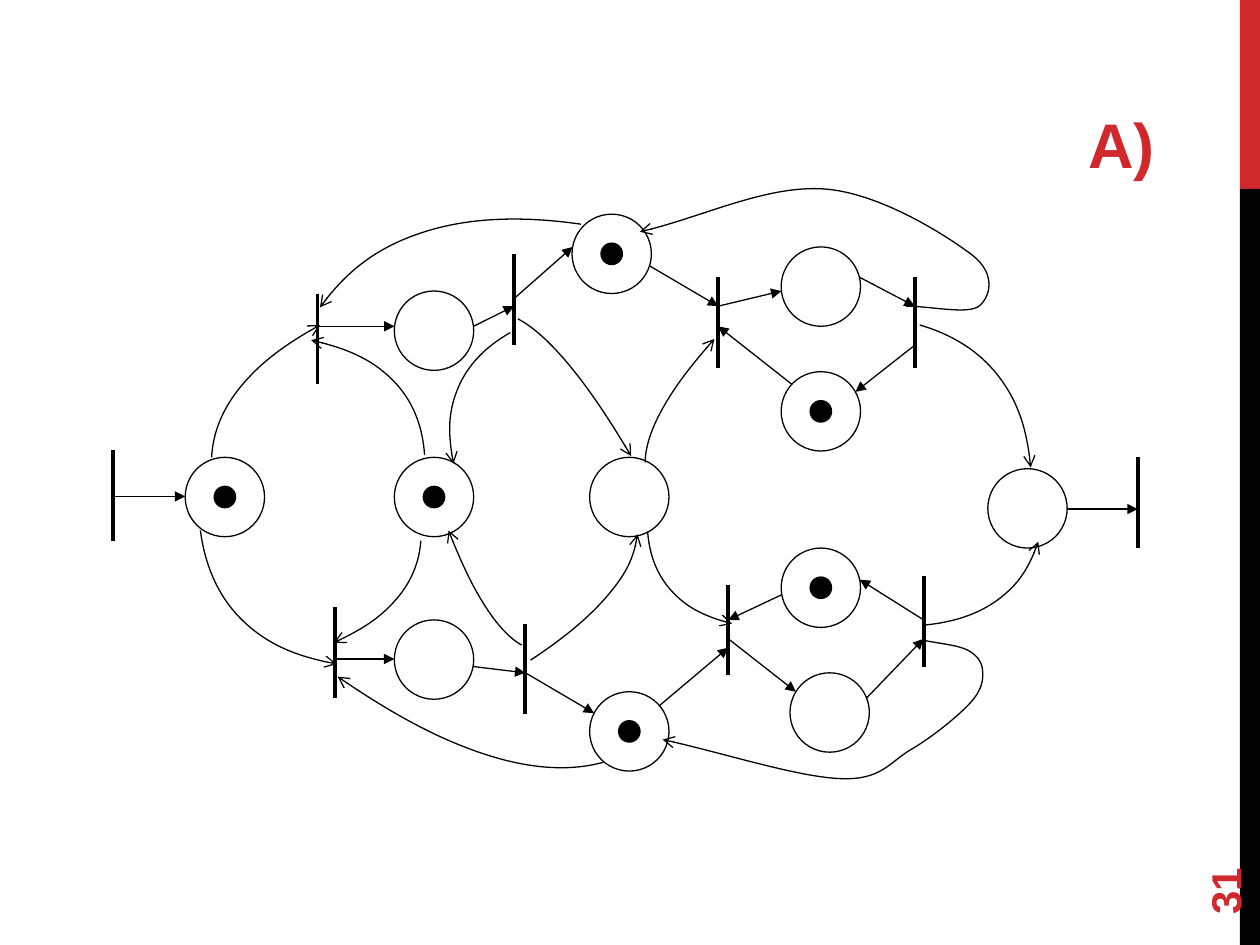
from math import sqrt

from lxml.etree import SubElement
from pptx import Presentation
from pptx.dml.color import RGBColor
from pptx.enum.shapes import MSO_CONNECTOR as Connector, MSO_SHAPE as Shape
from pptx.enum.text import MSO_ANCHOR as Anchor, PP_ALIGN as Align
from pptx.oxml.ns import qn
from pptx.util import Inches, Pt

COLUMNS, ROWS = 10, 7.5
COLORS = {"accent": "D1282E", "ink": "000000", "paper": "FFFFFF"}
PLACE, TOKEN, BAR = 0.63, 0.17, 0.72
THIN, THICK = 0.75, 2.25

PLACES = {
    "entry": (1.47, 3.63), "middle": (4.68, 3.63), "upper task": (3.13, 2.31),
    "upper": (4.54, 1.7), "shared": (3.13, 3.63), "lower task": (3.13, 4.92),
    "lower": (4.68, 5.49), "upper work": (6.2, 1.96), "upper free": (6.2, 2.95),
    "lower free": (6.2, 4.35), "lower work": (6.27, 5.34), "exit": (7.84, 3.72),
}
MARKED = ["entry", "upper", "shared", "upper free", "lower free", "lower"]
TRANSITIONS = {
    "arrive": (0.9, 3.57), "upper start": (2.52, 2.33), "lower start": (2.66, 4.82),
    "leave": (9.03, 3.63), "lower end": (4.17, 4.95), "upper end": (4.08, 2.02),
    "upper take": (5.7, 2.2), "lower take": (5.78, 4.64),
    "upper done": (7.26, 2.2), "lower done": (7.33, 4.57),
}
OUTPUT_ARCS = [
    ("arrive", 3.94, "entry", 3.94), ("upper start", 2.59, "upper task", 2.59),
    ("lower start", 5.23, "lower task", 5.23), ("upper take", 2.43, "upper work", 2.31),
    ("upper done", 2.74, "upper free", 3.11), ("upper end", 2.37, "upper", 1.96),
    ("lower done", 4.92, "lower free", 4.6), ("lower take", 5.07, "lower work", 5.49),
    ("lower end", 5.34, "lower", 5.66),
]
INPUT_ARCS = [
    ("exit", 4.04, "leave", 4.04), ("lower task", 5.29, "lower end", 5.34),
    ("upper task", 2.59, "upper end", 2.43), ("upper", 2.11, "upper take", 2.43),
    ("upper work", 2.2, "upper done", 2.43), ("upper free", 3.05, "upper take", 2.59),
    ("lower work", 5.54, "lower done", 5.07), ("lower free", 4.72, "lower take", 4.92),
    ("lower", 5.6, "lower take", 5.14),
]
CURVED_ARCS = [
    [(4.05, 2.64), (3.64, 3.07), (3.6, 3.68)],
    [(4.21, 5.24), (4.82, 4.73), (5.06, 4.24)],
    [(1.59, 4.21), (1.92, 4.92), (2.67, 5.27)],
    [(4.14, 5.12), (3.85, 4.81), (3.56, 4.21)],
    [(7.35, 4.96), (7.92, 4.76), (8.24, 4.3)],
    [(4.61, 1.78), (3.37, 1.84), (2.54, 2.44)],
    [(1.68, 3.63), (1.91, 3.07), (2.54, 2.58)],
    [(5.14, 4.22), (5.33, 4.69), (5.81, 4.95)],
    [(3.37, 3.61), (3.12, 3.02), (2.47, 2.7)],
    [(5.12, 3.67), (5.26, 3.24), (5.67, 2.69)],
    [(3.34, 4.29), (3.15, 4.75), (2.65, 5.1)],
    [(4.11, 2.53), (4.52, 2.9), (5.01, 3.62)],
    [(4.79, 6.05), (3.86, 5.99), (2.68, 5.37)],
    [(7.3, 2.58), (7.92, 2.98), (8.18, 3.71)],
    [(7.19, 2.43), (7.77, 2.43), (7.71, 2.02), (6.54, 1.5), (5.08, 1.84)],
    [(7.32, 5.08), (7.68, 5.16), (7.8, 5.33), (7.7, 5.58), (7.23, 5.95),
     (6.67, 6.18), (5.26, 5.87)],
]


def beyond(end, near, far, bent):
    if bent:
        return [3 * a - 3 * b + c for a, b, c in zip(end, near, far)]
    return [2 * a - b for a, b in zip(end, near)]


def spline(knots):
    bent = len(knots) == 3
    padded = [beyond(*knots[:3], bent), *knots, beyond(*knots[:-4:-1], bent)]
    points = []
    for before, start, stop, after in zip(padded, padded[1:], padded[2:], padded[3:]):
        points.append([s + (t - b) / 6 for b, s, t in zip(before, start, stop)])
        points.append([t - (a - s) / 6 for s, t, a in zip(start, stop, after)])
        points.append(stop)
    return points


def arc_ends(place, place_y, transition, bar_y):
    left, top = PLACES[place]
    bar_x = TRANSITIONS[transition][0]
    radius = PLACE / 2
    reach = sqrt(radius ** 2 - (place_y - top - radius) ** 2)
    edge_x = left + radius + (reach if bar_x > left else -reach)
    return (edge_x, place_y), (bar_x, bar_y)


class PetriSlide:
    font = "Arial"

    def __init__(self, deck):
        self.column = deck.slide_width / COLUMNS
        self.row = deck.slide_height / ROWS
        self.shapes = deck.slides.add_slide(deck.slide_layouts[6]).shapes

    def grid(self, *lengths):
        units = (self.column, self.row)
        return [round(length * units[i % 2]) for i, length in enumerate(lengths)]

    def color(self, name):
        return RGBColor.from_string(COLORS[name])

    def stroke(self, item, width, arrowhead=None):
        item.line.color.rgb = self.color("ink")
        item.line.width = Pt(width)
        if arrowhead:
            SubElement(item.get_or_add_ln(), qn("a:tailEnd"), type=arrowhead)

    def area(self, kind, box, fill, outlined=False):
        area = self.shapes.add_shape(kind, *self.grid(*box))
        area.shadow.inherit = False
        area.fill.solid()
        area.fill.fore_color.rgb = self.color(fill)
        if outlined:
            self.stroke(area, THIN)
        else:
            area.line.fill.background()

    def circle(self, left, top, size, fill):
        self.area(Shape.OVAL, (left, top, size, size), fill, True)

    def straight(self, start, stop, width, arrowhead=None):
        line = self.shapes.add_connector(Connector.STRAIGHT, *self.grid(*start, *stop))
        self.stroke(line, width, arrowhead)
        SubElement(line._element.spPr, qn("a:effectLst"))

    def curve(self, knots):
        builder = self.shapes.build_freeform(*self.grid(*knots[0]))
        builder.add_line_segments([self.grid(*point) for point in spline(knots)], close=False)
        arc = builder.convert_to_shape()
        arc.shadow.inherit = False
        arc.fill.background()
        self.stroke(arc, THIN, "arrow")
        outline = next(arc._element.iter(qn("a:path")))
        steps = outline.findall(qn("a:lnTo"))
        for first in range(0, len(steps), 3):
            bezier = SubElement(outline, qn("a:cubicBezTo"))
            for step in steps[first:first + 3]:
                bezier.append(step[0])
                outline.remove(step)

    def text(self, words, box, size, anchor, align=Align.LEFT, rotation=0, spacing=None):
        label = self.shapes.add_textbox(*self.grid(*box))
        label.rotation = rotation
        frame = label.text_frame
        frame.word_wrap = True
        frame.vertical_anchor = anchor
        paragraph = frame.paragraphs[0]
        paragraph.alignment = align
        run = paragraph.add_run()
        run.text = words
        font = paragraph.font
        font.name, font.size, font.bold = self.font, Pt(size), True
        font.color.rgb = self.color("accent")
        if spacing:
            run._r.get_or_add_rPr().set("spc", str(spacing))


def main():
    deck = Presentation()
    deck.slide_width, deck.slide_height = Inches(COLUMNS), Inches(ROWS)
    net = PetriSlide(deck)
    net.area(Shape.RECTANGLE, (9.84, 0, 0.16, 1.5), "accent")
    net.area(Shape.RECTANGLE, (9.84, 1.5, 0.16, 6), "ink")
    net.text("А)", (0.51, 0.66, 8.75, 0.83), 36, Anchor.BOTTOM, Align.RIGHT, spacing=-60)
    for left, top in PLACES.values():
        net.circle(left, top, PLACE, "paper")
    for x, top in TRANSITIONS.values():
        net.straight((x, top), (x, top + BAR), THICK)
    for transition, bar_y, place, place_y in OUTPUT_ARCS:
        edge, bar = arc_ends(place, place_y, transition, bar_y)
        net.straight(bar, edge, THIN, "triangle")
    for arc in INPUT_ARCS:
        net.straight(*arc_ends(*arc), THIN, "triangle")
    for knots in CURVED_ARCS:
        net.curve(knots)
    inset = (PLACE - TOKEN) / 2
    for place in MARKED:
        left, top = PLACES[place]
        net.circle(left + inset, top + inset, TOKEN, "ink")
    net.text("31", (9, 6.44, 1.44, 0.4), 24, Anchor.MIDDLE, rotation=270)
    deck.save("out.pptx")


if __name__ == "__main__":
    main()
